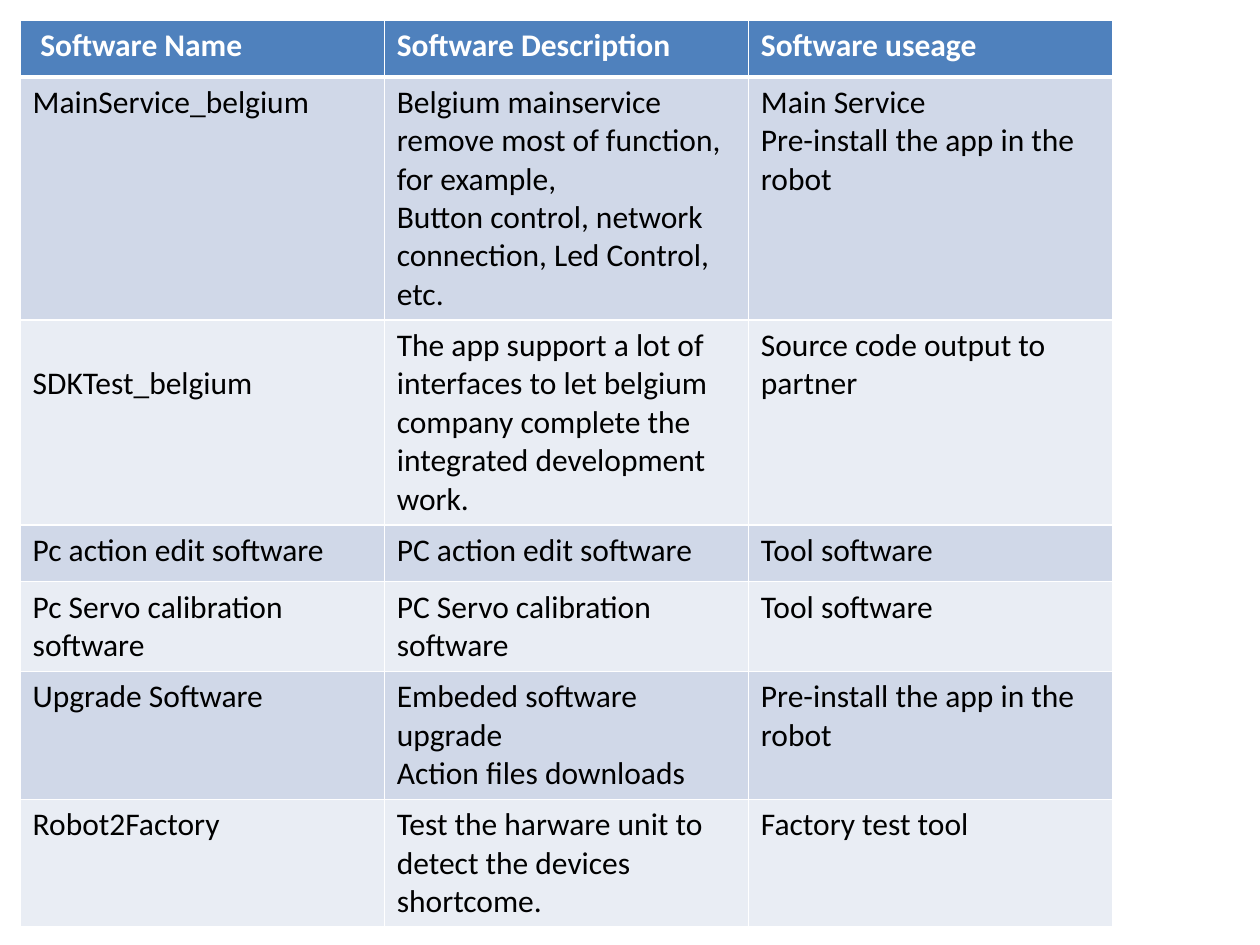
"""Build a one-slide table of robot software packages."""
from lxml import etree
from pptx import Presentation
from pptx import util as u
from pptx.dml.color import RGBColor
from pptx.oxml import ns

WHITE = RGBColor(0xFF, 0xFF, 0xFF)
BLACK = RGBColor(0x00, 0x00, 0x00)
BLUE = RGBColor(0x4F, 0x81, 0xBD)
BANDS = [RGBColor(0xE9, 0xED, 0xF4), RGBColor(0xD0, 0xD8, 0xE8)]

MARGIN = 0.16
COL_WIDTH = 2.89
ROW_HEIGHTS = [0.45, 1.44, 1.44, 0.45, 0.45, 0.77, 0.77]
LINE_HEIGHT = 0.305
SOFTWARE = [
    ("Software Name", "Software Description", "Software useage"),
    ("MainService_belgium",
     "Belgium mainservice remove most of function, for example,\n"
     "Button control, network connection, Led Control, etc.",
     "Main Service\nPre-install the app in the robot"),
    ("SDKTest_belgium",
     "The app support a lot of interfaces to let belgium company "
     "complete the integrated development work.",
     "Source code output to partner"),
    ("Pc action edit software", "PC action edit software", "Tool software"),
    ("Pc Servo calibration software", "PC Servo calibration software",
     "Tool software"),
    ("Upgrade Software", "Embeded software upgrade\nAction files downloads",
     "Pre-install the app in the robot"),
    ("Robot2Factory", "Test the harware unit to detect the devices shortcome.",
     "Factory test tool"),
]


def set_borders(cell, bottom):
    tc_pr = cell._tc.get_or_add_tcPr()
    widths = {"a:lnL": 1, "a:lnR": 1, "a:lnT": 1, "a:lnB": bottom}
    for i, (side, width) in enumerate(widths.items()):
        ln = etree.Element(ns.qn(side), w=str(u.Pt(width)))
        fill = etree.SubElement(ln, ns.qn("a:solidFill"))
        etree.SubElement(fill, ns.qn("a:srgbClr"), val=str(WHITE))
        tc_pr.insert(i, ln)


def fill_cell(cell, words, row):
    header = row == 0
    cell.text = words
    cell.fill.solid()
    cell.fill.fore_color.rgb = BLUE if header else BANDS[row % 2]
    set_borders(cell, 3 if header else 1)
    for p in cell.text_frame.paragraphs:
        p.font.name = "Calibri"
        p.font.size = u.Pt(18)
        p.font.bold = header
        p.font.color.rgb = WHITE if header else BLACK


def add_software_table(s):
    cols = len(SOFTWARE[0])
    frame = s.shapes.add_table(
        len(SOFTWARE), cols, u.Inches(MARGIN), u.Inches(MARGIN),
        u.Inches(cols * COL_WIDTH), u.Inches(sum(ROW_HEIGHTS)))
    table = frame.table
    for col in table.columns:
        col.width = u.Inches(COL_WIDTH)
    for r, (height, texts) in enumerate(zip(ROW_HEIGHTS, SOFTWARE)):
        table.rows[r].height = u.Inches(height)
        for c, words in enumerate(texts):
            fill_cell(table.cell(r, c), words, r)
    return table


def main():
    prs = Presentation()
    prs.slide_width, prs.slide_height = u.Inches(10), u.Inches(7.5)
    s = prs.slides.add_slide(prs.slide_layouts[6])
    table = add_software_table(s)
    table.cell(0, 0).margin_left = u.Inches(MARGIN)
    table.cell(2, 0).margin_top = u.Inches(0.05 + LINE_HEIGHT)
    prs.save("out.pptx")


if __name__ == "__main__":
    main()
